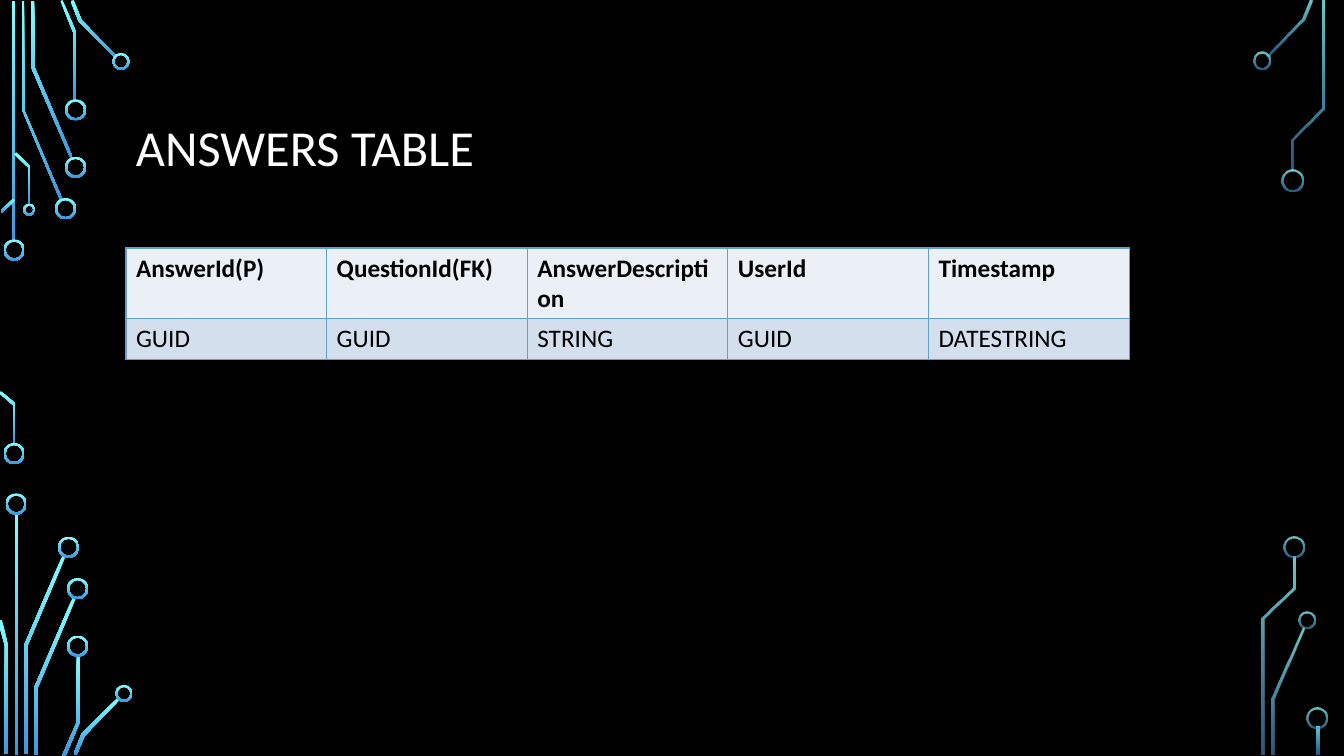
import pptx
import pptx.dml.color
import pptx.enum.shapes
import pptx.enum.text
import pptx.oxml
import pptx.oxml.ns
import pptx.util
from pptx.util import Inches

RGBColor = pptx.dml.color.RGBColor
BLACK = RGBColor(0x00, 0x00, 0x00)
WHITE = RGBColor(0xFF, 0xFF, 0xFF)
AQUA = RGBColor(0x82, 0xFF, 0xFF)
BLUE = RGBColor(0x3D, 0x97, 0xDE)
HEADER_FILL = RGBColor(0xEA, 0xF0, 0xF6)
BODY_FILL = RGBColor(0xD3, 0xDF, 0xEC)
BORDER = RGBColor(0x63, 0xA0, 0xCC)
FONT = "Calibri"
RING_WALL = 0.02
STEM_WIDTH = 0.03

LEFT_CIRCUIT = {
    "stems": [(0.12, 0.01, 2.39), (0.15, 5.1, 2.39)],
    "rings": [
        (0.14, 2.48, 0.21), (0.14, 4.5, 0.21), (0.65, 2.07, 0.21), (0.75, 1.66, 0.21),
        (0.75, 1.09, 0.21), (1.2, 0.61, 0.17), (0.29, 2.08, 0.12), (0.16, 5, 0.21),
        (0.68, 5.43, 0.21), (0.77, 5.84, 0.21), (0.77, 6.41, 0.21), (1.23, 6.88, 0.17),
    ],
    "traces": [
        [(0.6, 1.99), (0.22, 1.09), (0.22, 0.01), (0.24, 0.01), (0.24, 1.09), (0.62, 1.98)],
        [(0.7, 1.57), (0.31, 0.67), (0.31, 0.01), (0.34, 0.01), (0.34, 0.66), (0.72, 1.56)],
        [(0.76, 1), (0.73, 1), (0.73, 0.33), (0.6, 0.01), (0.62, 0), (0.76, 0.33)],
        [(1.15, 0.58), (0.78, 0.21), (0.7, 0.01), (0.73, 0), (0.81, 0.2), (1.16, 0.56)],
        [(0.02, 2.11), (0.01, 2.09), (0.13, 1.97), (0.15, 1.99)],
        [(0.15, 4.41), (0.13, 4.41), (0.13, 4.02), (-0.01, 3.9), (0.01, 3.88), (0.15, 4)],
        [(0.3, 2.03), (0.28, 2.03), (0.28, 1.66), (0.14, 1.53), (0.16, 1.51), (0.3, 1.65)],
        [(0.27, 7.48), (0.24, 7.48), (0.24, 6.4), (0.62, 5.51), (0.65, 5.52), (0.27, 6.41)],
        [(0.08, 7.48), (0.05, 7.48), (0.05, 6.41), (-0.02, 6.16), (0.02, 6.15), (0.08, 6.41)],
        [(0.37, 7.49), (0.34, 7.49), (0.34, 6.82), (0.72, 5.93), (0.75, 5.94), (0.37, 6.83)],
        [(0.65, 7.5), (0.62, 7.49), (0.76, 7.17), (0.76, 6.5), (0.79, 6.5), (0.79, 7.17)],
        [(0.76, 7.49), (0.73, 7.48), (0.81, 7.28), (1.17, 6.92), (1.19, 6.94), (0.84, 7.3)],
    ],
}
RIGHT_CIRCUIT = {
    "stems": [(0.66, 7.21, 0.28)],
    "rings": [
        (0.12, 0.6, 0.17), (0.42, 1.79, 0.21), (0.56, 6.15, 0.17),
        (0.43, 5.43, 0.21), (0.66, 7.12, 0.21),
    ],
    "traces": [
        [(0.18, 0.56), (0.16, 0.55), (0.51, 0.19), (0.59, 0), (0.62, 0.01), (0.54, 0.2)],
        [(0.24, 7.49), (0.21, 7.49), (0.21, 6.93), (0.52, 6.23), (0.54, 6.24), (0.24, 6.94)],
        [(0.43, 1.69), (0.41, 1.69), (0.41, 1.38), (0.71, 1.07), (0.71, 0.01),
         (0.74, 0.01), (0.74, 1.08), (0.43, 1.39)],
        [(0.14, 7.49), (0.11, 7.49), (0.11, 6.13), (0.42, 5.83), (0.42, 5.52),
         (0.45, 5.52), (0.45, 5.84), (0.14, 6.14)],
    ],
}
ANSWER_ROWS = [
    ["AnswerId(P)", "QuestionId(FK)", "AnswerDescription", "UserId", "Timestamp"],
    ["GUID", "GUID", "STRING", "GUID", "DATESTRING"],
]
ROW_HEIGHTS = [0.7, 0.41]
ROW_FILLS = [HEADER_FILL, BODY_FILL]


def set_values(target, values):
    """Set every attribute named in a dict."""
    for name, value in values.items():
        setattr(target, name, value)


def write_text(paragraph, text, size, color, bold=False):
    """Add one formatted run to a paragraph."""
    run = paragraph.add_run()
    run.text = text
    set_values(run.font, {"name": FONT, "size": pptx.util.Pt(size), "bold": bold})
    run.font.color.rgb = color


def paint_circuit(shape, opacities):
    """Fill a circuit part from aqua at the top to blue at the bottom."""
    shape.shadow.inherit = False
    shape.line.fill.background()
    shape.fill.gradient()
    shape.fill.gradient_angle = 270
    for stop, color in zip(shape.fill.gradient_stops, (AQUA, BLUE)):
        stop.color.rgb = color
    for color, opacity in zip(shape.element.xpath(".//a:gs/a:srgbClr"), opacities):
        if opacity < 100:
            alpha = pptx.oxml.parse_xml(
                f'<a:alpha {pptx.oxml.ns.nsdecls("a")} val="{opacity * 1000}"/>')
            color.append(alpha)


def add_circuit(slide, box, circuit, opacities):
    """Draw the stems, traces and rings of a circuit inside a box."""
    left, top = box[:2]
    presets = pptx.enum.shapes.MSO_SHAPE
    parts = []
    for x, y, height in circuit["stems"]:
        parts.append(slide.shapes.add_shape(
            presets.RECTANGLE, Inches(left + x), Inches(top + y),
            Inches(STEM_WIDTH), Inches(height)))
    for trace in circuit["traces"]:
        points = [(Inches(left + x), Inches(top + y)) for x, y in trace]
        builder = slide.shapes.build_freeform(*points[0])
        builder.add_line_segments(points[1:], close=True)
        parts.append(builder.convert_to_shape())
    for x, y, diameter in circuit["rings"]:
        ring = slide.shapes.add_shape(
            presets.DONUT, Inches(left + x - diameter / 2), Inches(top + y - diameter / 2),
            Inches(diameter), Inches(diameter))
        ring.adjustments[0] = RING_WALL / diameter
        parts.append(ring)
    for part in parts:
        paint_circuit(part, opacities)


def add_title(slide, box, text):
    """Place the slide title in a box."""
    frame = slide.shapes.add_textbox(*map(Inches, box)).text_frame
    set_values(frame, {
        "word_wrap": True, "vertical_anchor": pptx.enum.text.MSO_ANCHOR.MIDDLE})
    paragraph = frame.paragraphs[0]
    paragraph.line_spacing = 0.9
    write_text(paragraph, text, 36, WHITE)


def add_cell_borders(cell):
    """Give a cell a thin line on all four sides."""
    properties = cell._tc.get_or_add_tcPr()
    for side in ("lnL", "lnR", "lnT", "lnB"):
        properties.append(pptx.oxml.parse_xml(
            f'<a:{side} {pptx.oxml.ns.nsdecls("a")} w="12700"><a:solidFill>'
            f'<a:srgbClr val="{BORDER}"/></a:solidFill></a:{side}>'))


def add_answers_table(slide, box):
    """Place the table of answer fields and their types in a box."""
    table = slide.shapes.add_table(
        len(ANSWER_ROWS), len(ANSWER_ROWS[0]), *map(Inches, box)).table
    for column in table.columns:
        column.width = Inches(box[2] / len(ANSWER_ROWS[0]))
    for row_index, texts in enumerate(ANSWER_ROWS):
        table.rows[row_index].height = Inches(ROW_HEIGHTS[row_index])
        for column_index, text in enumerate(texts):
            cell = table.cell(row_index, column_index)
            add_cell_borders(cell)
            cell.fill.solid()
            cell.fill.fore_color.rgb = ROW_FILLS[row_index]
            write_text(cell.text_frame.paragraphs[0], text, 18, BLACK, row_index == 0)


def main():
    """Build the slide and save it."""
    presentation = pptx.Presentation()
    set_values(presentation, {"slide_width": Inches(13.33), "slide_height": Inches(7.5)})
    slide = presentation.slides.add_slide(presentation.slide_layouts[6])
    slide.background.fill.solid()
    slide.background.fill.fore_color.rgb = BLACK
    add_circuit(slide, (0, 0, 1.32, 7.5), LEFT_CIRCUIT, (100, 100))
    add_circuit(slide, (12.4, 0, 0.77, 7.5), RIGHT_CIRCUIT, (80, 60))
    add_title(slide, (1.25, 0.68, 10.83, 1.62), "ANSWERS TABLE")
    add_answers_table(slide, (1.25, 2.46, 9.95, 1.11))
    presentation.save("out.pptx")


if __name__ == "__main__":
    main()
